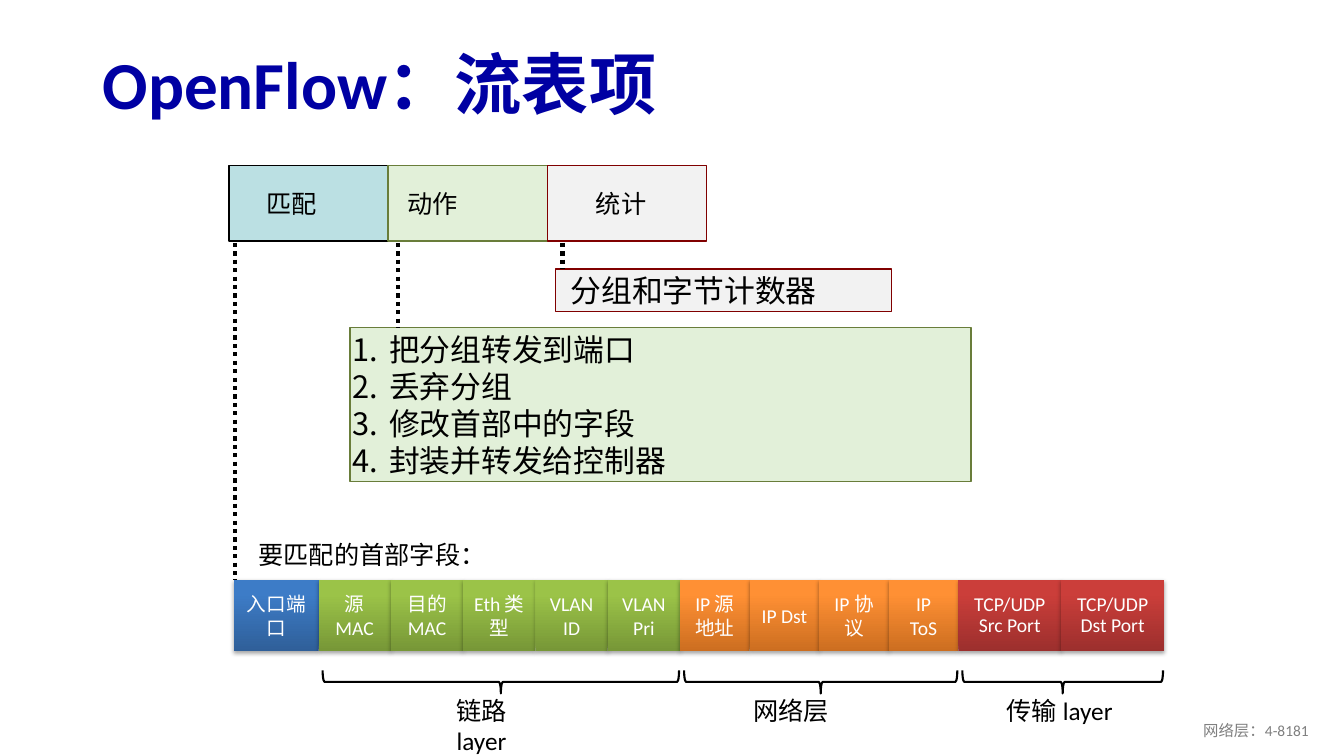
from lxml import etree
from pptx import Presentation
from pptx.dml.color import RGBColor
from pptx.enum.dml import MSO_LINE
from pptx.enum.shapes import MSO_CONNECTOR, MSO_SHAPE
from pptx.enum.text import MSO_ANCHOR, PP_ALIGN
from pptx.oxml.ns import qn
from pptx.util import Inches, Pt

RECT, BRACE = MSO_SHAPE.RECTANGLE, MSO_SHAPE.LEFT_BRACE
LEFT, CENTER, RIGHT = PP_ALIGN.LEFT, PP_ALIGN.CENTER, PP_ALIGN.RIGHT
TOP, MIDDLE = MSO_ANCHOR.TOP, MSO_ANCHOR.MIDDLE
STRAIGHT, DOTS = MSO_CONNECTOR.STRAIGHT, MSO_LINE.ROUND_DOT

SLIDE_W, SLIDE_H = 13.33, 7.5
FONT = "Calibri"
COLORS = {
    "title": "0000A3", "text": "000000", "white": "FFFFFF", "footer": "808080",
    "match": "BBE0E3", "action": "E2F0D9", "stats": "F2F2F2",
    "match_line": "000000", "action_line": "697D3A", "stats_line": "800000",
}
# Dark and light end of each layer's gradient
GRADIENTS = {
    "port": ("2F5F99", "3D7CC7"), "link": ("779737", "9BC348"),
    "network": ("CC6E20", "FF9034"), "transport": ("9C2F2D", "CB3E3A"),
}
# Parts of a flow entry: name, text, text indent
PARTS = [("match", "匹配", 0.37), ("action", "动作", 0.19), ("stats", "统计", 0.48)]
ACTIONS = ["把分组转发到端口", "丢弃分组", "修改首部中的字段", "封装并转发给控制器"]
# Header fields by layer: name, cell width, line spacing, cells
LAYERS = [
    ("port", 0.84, None, ["入口端口"]),
    ("link", 0.717, None, ["源 MAC", "目的 MAC", "Eth 类型", "VLAN\nID", "VLAN\nPri"]),
    ("network", 0.69, None, ["IP 源地址", "IP Dst", "IP 协议", "IP\nToS"]),
    ("transport", 1.02, Pt(14.8), ["TCP/UDP Src Port", "TCP/UDP Dst Port"]),
]
# Brace labels: text, offset from the layer's left edge, width, alignment
LAYER_LABELS = {
    "link": ("链路 layer", 1.27, 1.05, LEFT),
    "network": ("网络层", 0.63, 1.48, LEFT),
    "transport": ("传输 layer", -0.28, 2.57, CENTER),
}


def rgb(name):
    return RGBColor.from_string(COLORS.get(name, name))


def write(s, text, size, color="text", align=LEFT, anchor=MIDDLE,
          margins=(0.1, 0.05), bold=False, spacing=None):
    tf = s.text_frame
    tf.word_wrap = True
    tf.vertical_anchor = anchor
    tf.margin_left, tf.margin_right = Inches(margins[0]), Inches(min(margins[0], 0.1))
    tf.margin_top = tf.margin_bottom = Inches(margins[1])
    tf.text = text
    for p in tf.paragraphs:
        p.alignment = align
        p.line_spacing = spacing
        for r in p.runs:
            r.font.name, r.font.size, r.font.bold = FONT, Pt(size), bold
            r.font.color.rgb = rgb(color)
    return tf


def add_text(slide, box, text, size, **style):
    s = slide.shapes.add_textbox(*map(Inches, box))
    write(s, text, size, **style)


def add_box(slide, box, name):
    s = slide.shapes.add_shape(RECT, *map(Inches, box))
    s.shadow.inherit = False
    s.fill.solid()
    s.fill.fore_color.rgb = rgb(name)
    s.line.color.rgb = rgb(name + "_line")
    s.line.width = Pt(1)
    return s


def add_dots(slide, x, top, bottom):
    s = slide.shapes.add_connector(STRAIGHT, *map(Inches, (x, top, x, bottom)))
    s.line.color.rgb = rgb("text")
    s.line.width = Pt(3)
    s.line.dash_style = DOTS
    etree.SubElement(s._element.spPr, qn("a:effectLst"))


def add_field(slide, box, text, layer, spacing):
    s = slide.shapes.add_shape(RECT, *map(Inches, box))
    s.fill.gradient()
    s.fill.gradient_angle = 90
    for stop, position, color in zip(s.fill.gradient_stops, (0, 0.8), GRADIENTS[layer]):
        stop.position = position
        stop.color.rgb = rgb(color)
    s.line.fill.background()
    s.shadow.inherit = False
    shadow = etree.SubElement(
        s._element.spPr.find(qn("a:effectLst")), qn("a:outerShdw"),
        blurRad=str(Pt(3.1)), dist=str(Pt(1.8)), dir="5400000", rotWithShape="0")
    black = etree.SubElement(shadow, qn("a:srgbClr"), val="000000")
    etree.SubElement(black, qn("a:alpha"), val="35000")
    write(s, text, 14, color="white", align=CENTER, spacing=spacing)


def add_layer_brace(slide, left, top, width, layer):
    thick = 0.23
    # The brace is laid out upright, then turned about its centre
    x, y = left + (width - thick) / 2, top + (thick - width) / 2
    s = slide.shapes.add_shape(BRACE, *map(Inches, (x, y, thick, width)))
    s.rotation = 270
    s.shadow.inherit = False
    s.fill.background()
    s.line.color.rgb = rgb("text")
    s.line.width = Pt(1.5)
    text, offset, label_w, align = LAYER_LABELS[layer]
    add_text(slide, (left + offset - 0.04, top + 0.2, label_w, 0.4), text, 18,
             align=align, anchor=TOP)


def add_flow_entry(slide, left, top, width, height):
    part_w = width / len(PARTS)
    for i, (name, text, indent) in enumerate(PARTS):
        s = add_box(slide, (left + i * part_w, top, part_w, height), name)
        write(s, text, 18, margins=(indent, 0))


def add_actions(slide, left, top, width, height, line_top):
    tf = write(add_box(slide, (left, top, width, height), "action"),
               "\n".join(ACTIONS), 22, margins=(0, 0))
    for p in tf.paragraphs:
        pPr = p._p.get_or_add_pPr()
        pPr.set("marL", str(Inches(0.39)))
        pPr.set("indent", str(Inches(-0.36)))
        etree.SubElement(pPr, qn("a:buAutoNum"), type="arabicPeriod")
    add_dots(slide, left + 0.48, line_top, top)


def add_counters(slide, left, top, width, height, line_top):
    s = add_box(slide, (left, top, width, height), "stats")
    write(s, "分组和字节计数器", 22, margins=(0.15, 0))
    add_dots(slide, left + 0.07, line_top, top)


def add_header_fields(slide, left, top, height, line_top):
    add_text(slide, (left + 0.04, top - 0.45, 2.66, 0.4), "要匹配的首部字段：", 18,
             align=CENTER, anchor=TOP)
    add_dots(slide, left + 0.01, line_top, top)
    x = left
    for layer, cell_w, spacing, cells in LAYERS:
        for i, text in enumerate(cells):
            add_field(slide, (x + i * cell_w, top, cell_w, height), text, layer, spacing)
        width = cell_w * len(cells)
        if layer in LAYER_LABELS:
            add_layer_brace(slide, x + 0.04, top + height + 0.19, width - 0.05, layer)
        x += width


def main():
    prs = Presentation()
    prs.slide_width, prs.slide_height = Inches(SLIDE_W), Inches(SLIDE_H)
    slide = prs.slides.add_slide(prs.slide_layouts[6])

    # Title
    add_text(slide, (0.92, 0.38, 11.5, 0.98), "OpenFlow：流表项", 48,
             color="title", bold=True, spacing=0.9)

    # Flow entry and the details hanging from it
    line_top = 2.41
    add_flow_entry(slide, 2.27, 1.64, 4.74, 0.75)
    add_actions(slide, 3.47, 3.25, 6.16, 1.53, line_top)
    add_counters(slide, 5.51, 2.67, 3.33, 0.42, line_top)
    add_header_fields(slide, 2.32, 5.75, 0.71, line_top)

    # Footer
    add_text(slide, (10.08, 7.05, 3, 0.4), "网络层：4-8181", 11,
             color="footer", align=RIGHT)
    prs.save("out.pptx")


if __name__ == "__main__":
    main()
